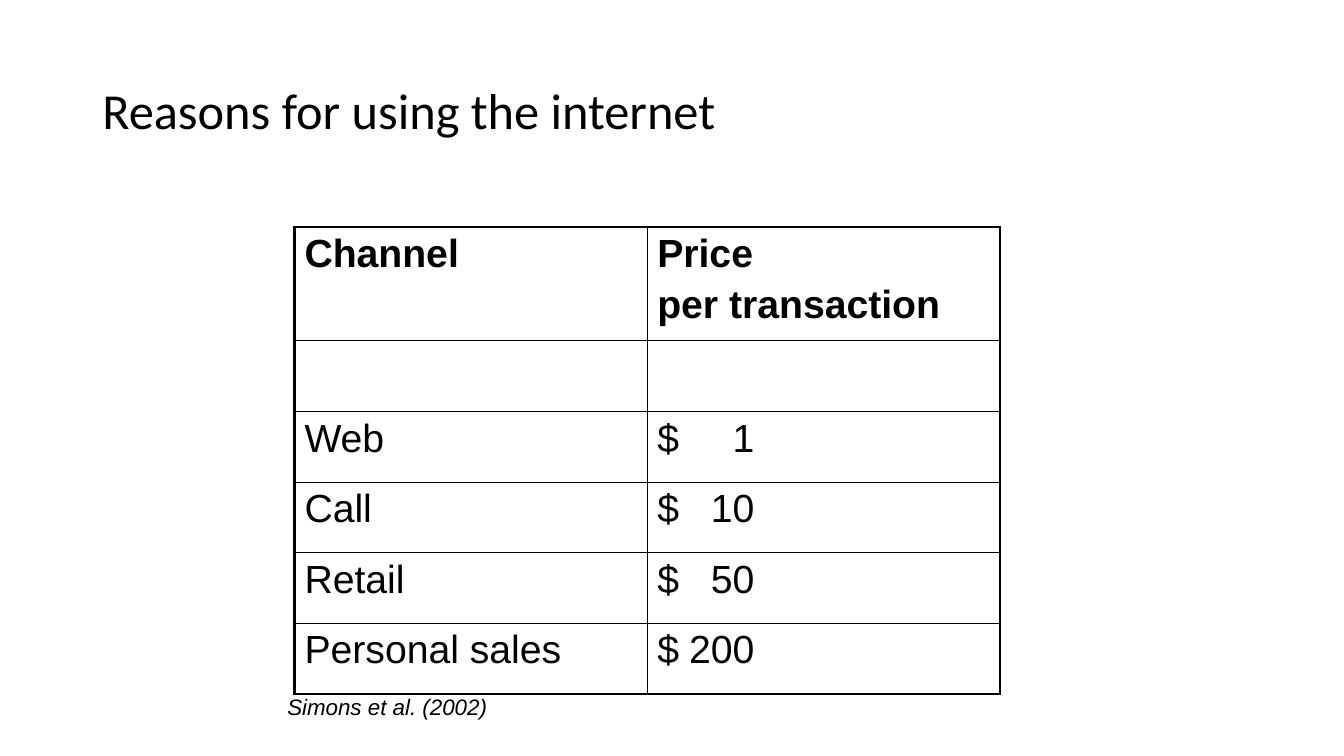
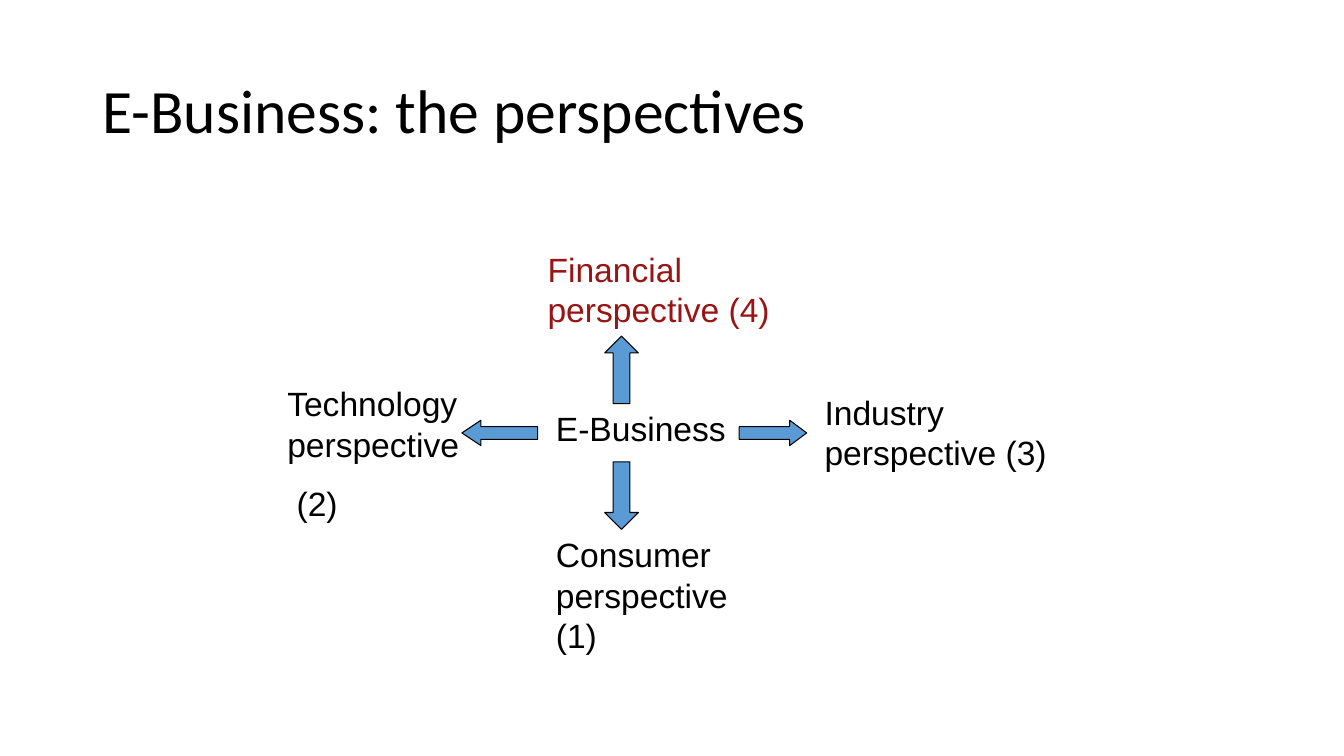
from dataclasses import dataclass

from lxml.etree import SubElement
from pptx import Presentation
from pptx.dml.color import RGBColor
from pptx.enum.shapes import MSO_SHAPE as SHAPE
from pptx.enum.text import MSO_ANCHOR as ANCHOR
from pptx.oxml.ns import qn
from pptx.util import Cm, Pt


@dataclass(frozen=True)
class Theme:
    black: RGBColor = RGBColor(0x00, 0x00, 0x00)
    red: RGBColor = RGBColor(0x99, 0x14, 0x14)
    blue: RGBColor = RGBColor(0x5B, 0x9B, 0xD5)
    title_font: str = "Calibri"
    body_font: str = "Arial"
    title: int = 44
    long_title: int = 36
    table: int = 28
    label: int = 24
    source: int = 16
    outer_line: float = 2.25
    inner_line: float = 1
    arrow_line: float = 0.75


T = Theme()


def write(tf, text, size, font=T.body_font, color=T.black, bold=False,
          italic=False, gap=0, leading=None, tab=None):
    """Put each line of text in its own paragraph, gap points apart."""
    tf.word_wrap = True
    for i, line in enumerate(text.split("\n")):
        p = tf.add_paragraph() if i else tf.paragraphs[0]
        if i:
            p.space_before = Pt(gap)
        if leading:
            p.line_spacing = leading
        if tab:
            tabs = SubElement(p._p.get_or_add_pPr(), qn("a:tabLst"))
            SubElement(tabs, qn("a:tab"), pos=str(tab), algn="r")
        r = p.add_run()
        r.text = line
        r.font.name, r.font.size = font, Pt(size)
        r.font.bold, r.font.italic = bold, italic
        r.font.color.rgb = color


def add_slide(title, size):
    s = prs.slides.add_slide(prs.slide_layouts[6])
    tf = s.shapes.add_textbox(Cm(2.33), Cm(1.01), Cm(29.21), Cm(3.68)).text_frame
    tf.vertical_anchor = ANCHOR.MIDDLE
    write(tf, title, size, font=T.title_font, leading=0.9)
    return s


prs = Presentation()
prs.slide_width, prs.slide_height = Cm(33.87), Cm(19.05)

# Slide 1: price table
s = add_slide("Reasons for using the internet", T.long_title)
rows = [
    ("Channel", "Price\nper transaction"),
    ("", ""),
    ("Web", "$\t1"),
    ("Call", "$\t10"),
    ("Retail", "$\t50"),
    ("Personal sales", "$\t200"),
]
header_h, row_h, col_w = 2.87, 1.78, 8.89
last_row, last_col = len(rows) - 1, len(rows[0]) - 1
table = s.shapes.add_table(
    len(rows), len(rows[0]), Cm(7.42), Cm(5.72),
    Cm(col_w * len(rows[0])), Cm(header_h + row_h * last_row)).table
table.first_row = table.horz_banding = False
for col in table.columns:
    col.width = Cm(col_w)
for i, row in enumerate(rows):
    table.rows[i].height = Cm(row_h if i else header_h)
    for j, text in enumerate(row):
        cell = table.cell(i, j)
        if text:
            write(cell.text_frame, text, T.table, bold=i == 0, gap=5,
                  tab=Cm(2.45) if "\t" in text else None)
        edges = {"a:lnL": j == 0, "a:lnR": j == last_col,
                 "a:lnT": i == 0, "a:lnB": i == last_row}
        for tag, outer in edges.items():
            width = Pt(T.outer_line if outer else T.inner_line)
            ln = SubElement(cell._tc.get_or_add_tcPr(), qn(tag), w=str(width))
            fill = SubElement(ln, qn("a:solidFill"))
            SubElement(fill, qn("a:srgbClr"), val=str(T.black))
        cell.fill.background()

source = s.shapes.add_textbox(Cm(6.99), Cm(17.35), Cm(6.55), Cm(0.94))
write(source.text_frame, "Simons et al. (2002)", T.source, italic=True)

# Slide 2: four perspectives around E-Business
s = add_slide("E-Business: the perspectives", T.title)
labels = [
    ("Technology perspective\n (2)", 6.99, 9.53, 6.78, 3.84, T.black),
    ("Financial perspective (4)", 13.55, 6.14, 6.99, 2.31, T.red),
    ("Industry perspective (3)", 20.53, 9.74, 7.62, 2.31, T.black),
    ("Consumer perspective (1)", 13.76, 13.34, 5.08, 3.33, T.black),
    ("E-Business", 13.76, 10.16, 4.88, 1.27, T.black),
]
for text, x, y, w, h, color in labels:
    box = s.shapes.add_textbox(Cm(x), Cm(y), Cm(w), Cm(h))
    write(box.text_frame, text, T.label, color=color, gap=14)

arrows = [
    (SHAPE.RIGHT_ARROW, 18.63, 10.59, 1.7, 0.64, 0.67),
    (SHAPE.UP_ARROW, 15.24, 8.47, 0.85, 1.7, 0.5),
    (SHAPE.LEFT_ARROW, 11.64, 10.59, 1.91, 0.64, 0.75),
    (SHAPE.DOWN_ARROW, 15.24, 11.64, 0.85, 1.7, 0.5),
]
for kind, x, y, w, h, head in arrows:
    sp = s.shapes.add_shape(kind, Cm(x), Cm(y), Cm(w), Cm(h))
    sp.adjustments[1] = head
    sp.shadow.inherit = False
    sp.fill.solid()
    sp.fill.fore_color.rgb = T.blue
    sp.line.color.rgb = T.black
    sp.line.width = Pt(T.arrow_line)

prs.save("out.pptx")
